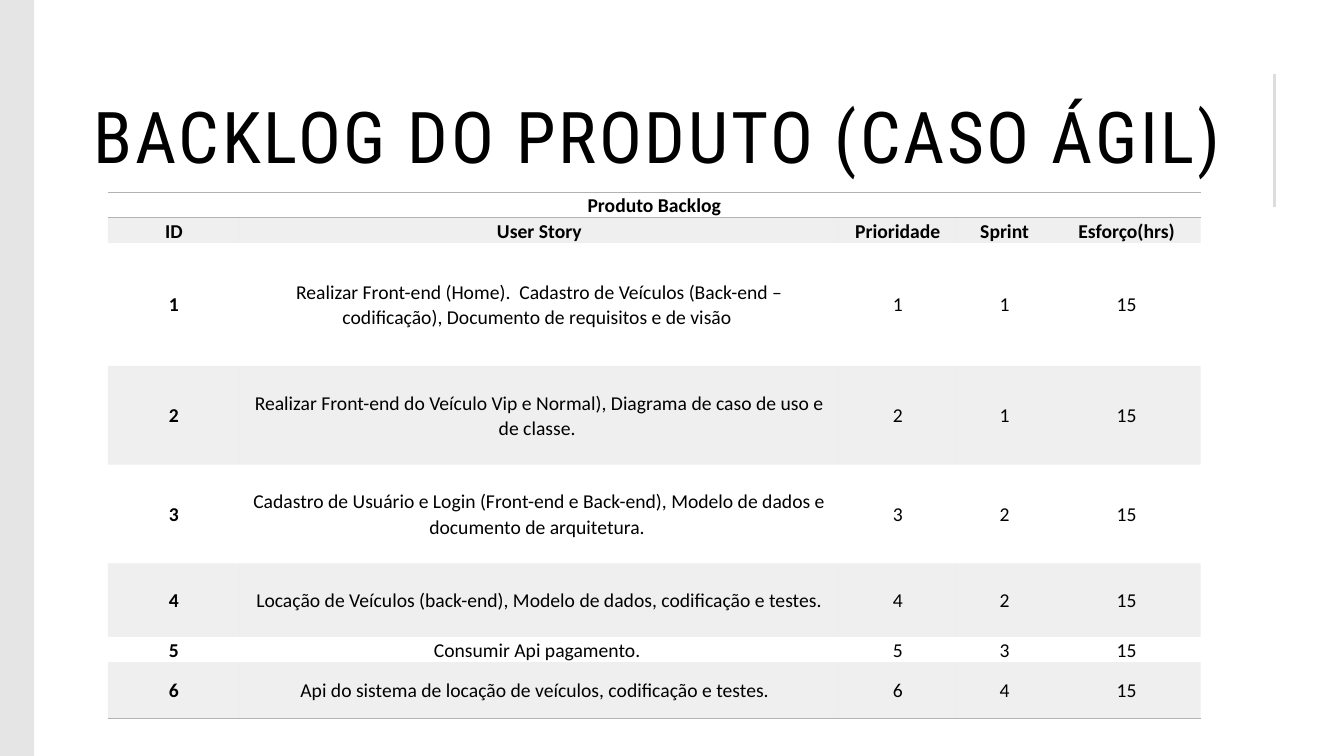
"""Build the product backlog slide with its title, side strip and table."""
from typing import NamedTuple

from lxml.etree import SubElement
from pptx import Presentation
from pptx.dml.color import RGBColor as Rgb
from pptx.enum.shapes import MSO_CONNECTOR as Link, MSO_SHAPE as Shape
from pptx.enum.text import MSO_ANCHOR as Anchor, PP_ALIGN as Align
from pptx.oxml import parse_xml
from pptx.oxml.ns import nsdecls, qn
from pptx.util import Inches, Pt

HUES = {"ink": "000000", "paper": "FFFFFF", "band": "B2B2B2", "rule": "DDDDDD"}
PLAIN = "{2D5ABB26-0587-4C30-8999-92F81FD0307C}"
HEADS = ("ID", "User Story", "Prioridade", "Sprint", "Esforço(hrs)")
COLS = (1.31, 5.94, 1.17, 0.95, 1.47)


class Story(NamedTuple):
    rank: int
    text: str
    sprint: int
    hours: int
    height: float


STORIES = (
    Story(1, "Realizar Front-end (Home).  Cadastro de Veículos (Back-end – codificação), "
             "Documento de requisitos e de visão ", 1, 15, 1.22),
    Story(2, "Realizar Front-end do Veículo Vip e Normal), "
             "Diagrama de caso de uso e de classe. ", 1, 15, 0.98),
    Story(3, "Cadastro de Usuário e Login (Front-end e Back-end), "
             "Modelo de dados e documento de arquitetura. ", 2, 15, 0.98),
    Story(4, "Locação de Veículos (back-end), Modelo de dados, codificação e testes.",
          2, 15, 0.73),
    Story(5, "Consumir Api pagamento. ", 3, 15, 0.24),
    Story(6, "Api do sistema de locação de veículos, codificação e testes.  ", 4, 15, 0.56),
)


def paint(fill, hue: str, alpha: int = 100) -> None:
    fill.solid()
    fill.fore_color.rgb = Rgb.from_string(HUES[hue])
    if alpha < 100:
        tint = fill._xPr.find(qn("a:solidFill"))[0]
        SubElement(tint, qn("a:alpha"), val=str(alpha * 1000))


def write(frame, text: str, *, size: float = 14, face: str = "Calibri",
          bold: bool = False, align=Align.CENTER, lead: float = 1.07,
          track: float = 0) -> None:
    par = frame.paragraphs[0]
    par.alignment = align
    par.line_spacing = lead
    run = par.add_run()
    run.text = text
    font = run.font
    font.size, font.name, font.bold = Pt(size), face, bold
    font.color.rgb = Rgb.from_string(HUES["ink"])
    if track:
        font._element.set("spc", str(int(track * 100)))


def edge(cell, *sides: str) -> None:
    for spot, side in enumerate(sides):
        line = parse_xml(
            f'<a:ln{side} {nsdecls("a")} w="12700"><a:solidFill>'
            f'<a:srgbClr val="{HUES["band"]}"/></a:solidFill></a:ln{side}>')
        cell._tc.get_or_add_tcPr().insert(spot, line)


def fill_cell(cell, text: str, bold: bool, shade: bool) -> None:
    cell.margin_left = cell.margin_right = Inches(0.04)
    cell.margin_top = cell.margin_bottom = 0
    cell.vertical_anchor = Anchor.MIDDLE
    paint(cell.fill, "band" if shade else "paper", 20 if shade else 100)
    write(cell.text_frame, text, bold=bold)


def add_title(slide) -> None:
    box = slide.shapes.add_textbox(Inches(0.83), Inches(0.73), Inches(11.67), Inches(1.32))
    frame = box.text_frame
    frame.word_wrap = True
    frame.vertical_anchor = Anchor.MIDDLE
    write(frame, "BACKLOG DO PRODUTO (CASO ÁGIL)", size=51, face="Roboto Condensed",
          align=Align.LEFT, lead=0.9, track=2)


def add_trim(slide) -> None:
    strip = slide.shapes.add_shape(Shape.RECTANGLE, 0, 0, Inches(0.34), Inches(7.5))
    strip.shadow.inherit = False
    strip.line.fill.background()
    paint(strip.fill, "ink", 10)
    rule = slide.shapes.add_connector(
        Link.STRAIGHT, Inches(12.64), Inches(0.73), Inches(12.64), Inches(2.05))
    rule.line.width = Pt(1.75)
    rule.line.color.rgb = Rgb.from_string(HUES["rule"])
    SubElement(rule._element.spPr, qn("a:effectLst"))


def add_grid(slide) -> None:
    highs = [0.23, 0.24, *(s.height for s in STORIES)]
    grid = slide.shapes.add_table(len(highs), len(COLS), Inches(1.07), Inches(1.91),
                                  Inches(sum(COLS)), Inches(sum(highs))).table
    grid.first_row = grid.horz_banding = False
    grid._tbl.tblPr.find(qn("a:tableStyleId")).text = PLAIN
    for col, width in zip(grid.columns, COLS):
        col.width = Inches(width)
    for row, height in zip(grid.rows, highs):
        row.height = Inches(height)

    top = grid.cell(0, 0)
    top.merge(grid.cell(0, len(COLS) - 1))
    fill_cell(top, "Produto Backlog", True, False)
    top.vertical_anchor = Anchor.TOP
    rows = [HEADS, *((s.rank, s.text, s.rank, s.sprint, s.hours) for s in STORIES)]
    for y, row in enumerate(rows, 1):
        for x, item in enumerate(row):
            fill_cell(grid.cell(y, x), str(item), y == 1 or x == 0, y % 2 == 1)
    for x in range(len(COLS)):
        edge(grid.cell(0, x), "T", "B")
        edge(grid.cell(len(rows), x), "B")


def main() -> None:
    deck = Presentation()
    deck.slide_width, deck.slide_height = Inches(13.33), Inches(7.5)
    slide = deck.slides.add_slide(deck.slide_layouts[6])
    paint(slide.background.fill, "paper")
    add_title(slide)
    add_trim(slide)
    add_grid(slide)
    deck.save("out.pptx")


if __name__ == "__main__":
    main()
